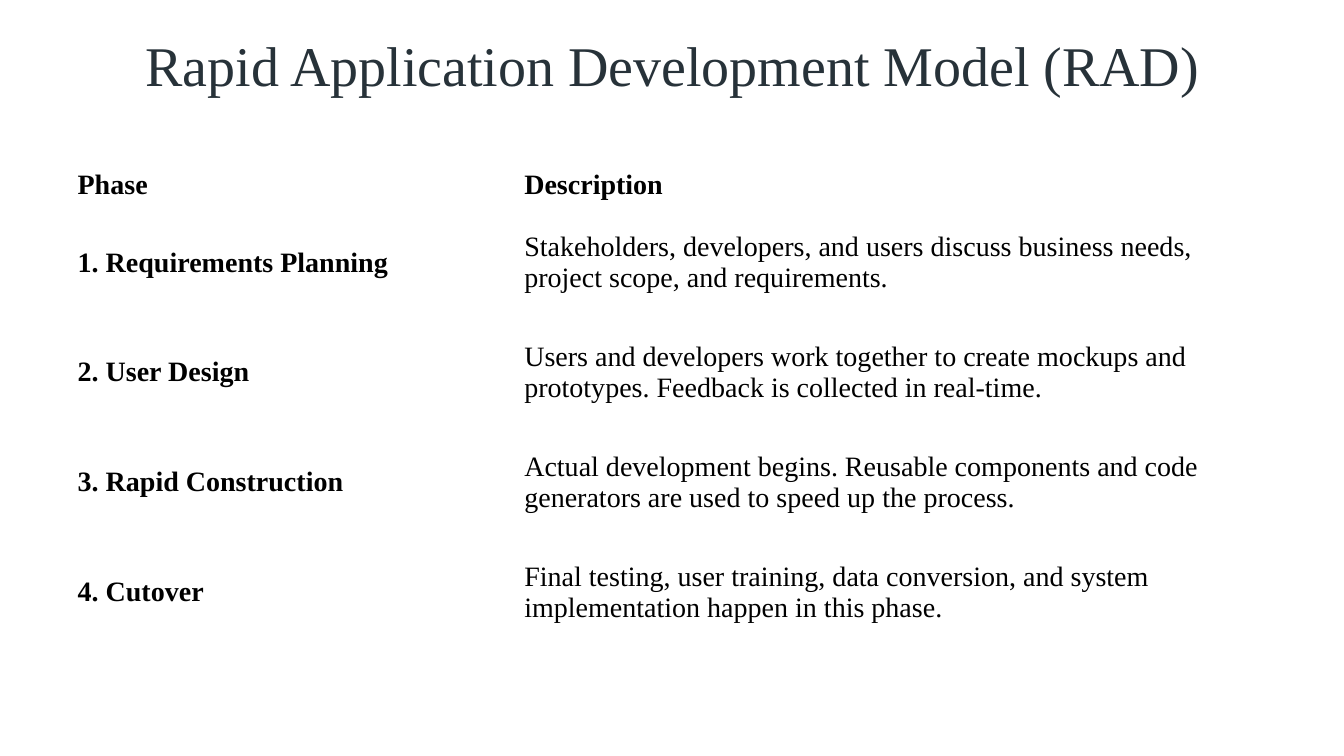
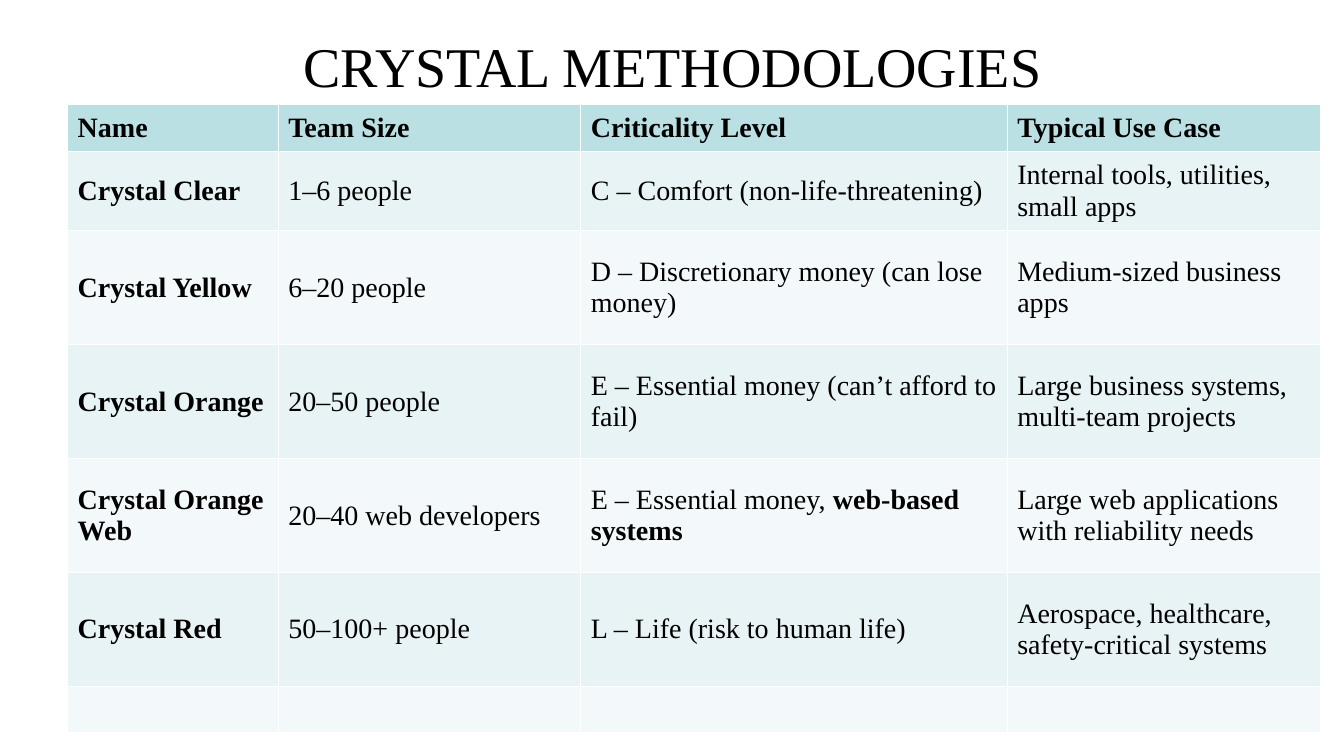
"""Build two slides of software process tables."""
from dataclasses import dataclass

from pptx import Presentation
from pptx.dml.color import RGBColor as RGB
from pptx.enum.text import MSO_ANCHOR as Anchor, MSO_AUTO_SIZE as Fit, PP_ALIGN as Align
from pptx.presentation import Presentation as Deck
from pptx.slide import Slide
from pptx.table import _Cell as Cell
from pptx.text.text import Font
from pptx.util import Inches, Pt

FACE = "Times New Roman"
BLACK = RGB(0x00, 0x00, 0x00)
SLATE = RGB(0x27, 0x32, 0x39)
TEAL = RGB(0xBB, 0xE0, 0xE3)
BANDS = (RGB(0xF3, 0xF9, 0xFA), RGB(0xE7, 0xF3, 0xF4))
WIDE, HIGH = 13.33, 7.5
LEFT, TOP, SPAN = 0.67, 0.3, 12


@dataclass(frozen=True)
class Title:
    text: str
    color: RGB
    high: float
    anchor: Anchor


@dataclass(frozen=True)
class Grid:
    top: float
    cols: tuple[float, ...]
    rows: tuple[float, ...]
    cells: tuple[tuple[str, ...], ...]
    banded: bool


@dataclass(frozen=True)
class Page:
    title: Title
    grid: Grid


PAGES = (
    Page(
        Title("Rapid Application Development Model (RAD)", SLATE, 1.25, Anchor.TOP),
        Grid(1.62, (4.43, 7.57), (0.44,) + (1.09,) * 4, (
            ("Phase", "Description"),
            ("1. Requirements Planning",
             "Stakeholders, developers, and users discuss business needs, "
             "project scope, and requirements."),
            ("2. User Design",
             "Users and developers work together to create mockups and "
             "prototypes. Feedback is collected in real-time."),
            ("3. Rapid Construction",
             "Actual development begins. Reusable components and code "
             "generators are used to speed up the process."),
            ("4. Cutover",
             "Final testing, user training, data conversion, and system "
             "implementation happen in this phase."),
        ), False),
    ),
    Page(
        Title("CRYSTAL METHODOLOGIES", BLACK, 0.69, Anchor.MIDDLE),
        Grid(1.04, (2.09, 3, 4.23, 3.11), (0.46, 0.79) + (1.13,) * 4 + (0.46,), (
            ("Name", "Team Size", "Criticality Level", "Typical Use Case"),
            ("Crystal Clear", "1–6 people", "C – Comfort (non-life-threatening)",
             "Internal tools, utilities, small apps"),
            ("Crystal Yellow", "6–20 people", "D – Discretionary money (can lose money)",
             "Medium-sized business apps"),
            ("Crystal Orange", "20–50 people", "E – Essential money (can’t afford to fail)",
             "Large business systems, multi-team projects"),
            ("Crystal Orange Web", "20–40 web developers",
             "E – Essential money, |web-based systems",
             "Large web applications with reliability needs"),
            ("Crystal Red", "50–100+ people", "L – Life (risk to human life)",
             "Aerospace, healthcare, safety-critical systems"),
            ("",) * 4,
        ), True),
    ),
)


def style(font: Font, size: float, color: RGB, bold: bool = False) -> None:
    font.name, font.size, font.bold = FACE, Pt(size), bold
    font.color.rgb = color


def head(slide: Slide, title: Title) -> None:
    shape = slide.shapes.title
    shape.left, shape.top = Inches(LEFT), Inches(TOP)
    shape.width, shape.height = Inches(SPAN), Inches(title.high)
    frame = shape.text_frame
    frame.text = title.text
    frame.word_wrap, frame.auto_size = True, Fit.NONE
    frame.margin_top = frame.margin_bottom = 0
    frame.vertical_anchor = title.anchor
    para = frame.paragraphs[0]
    para.alignment = Align.CENTER
    style(para.font, 40, title.color)


def write(cell: Cell, text: str, bold: bool) -> None:
    cell.vertical_anchor = Anchor.MIDDLE
    para = cell.text_frame.paragraphs[0]
    style(para.font, 20, BLACK, bold)
    plain, _, strong = text.partition("|")
    if plain:
        para.add_run().text = plain
    if strong:
        run = para.add_run()
        run.text, run.font.bold = strong, True


def draw(slide: Slide, grid: Grid) -> None:
    frame = slide.shapes.add_table(
        len(grid.rows), len(grid.cols), Inches(LEFT), Inches(grid.top),
        Inches(sum(grid.cols)), Inches(sum(grid.rows)))
    table = frame.table
    table.first_row = table.horz_banding = grid.banded
    for col, wide in zip(table.columns, grid.cols):
        col.width = Inches(wide)
    for r, (row, high) in enumerate(zip(table.rows, grid.rows)):
        row.height = Inches(high)
        for c, cell in enumerate(row.cells):
            if grid.banded:
                cell.fill.solid()
                cell.fill.fore_color.rgb = BANDS[r % 2] if r else TEAL
            else:
                cell.fill.background()
            write(cell, grid.cells[r][c], r == 0 or c == 0)


def build(deck: Deck, page: Page) -> None:
    slide = deck.slides.add_slide(deck.slide_layouts[5])
    head(slide, page.title)
    draw(slide, page.grid)


def main() -> None:
    deck = Presentation()
    deck.slide_width, deck.slide_height = Inches(WIDE), Inches(HIGH)
    for page in PAGES:
        build(deck, page)
    deck.save("out.pptx")


if __name__ == "__main__":
    main()
